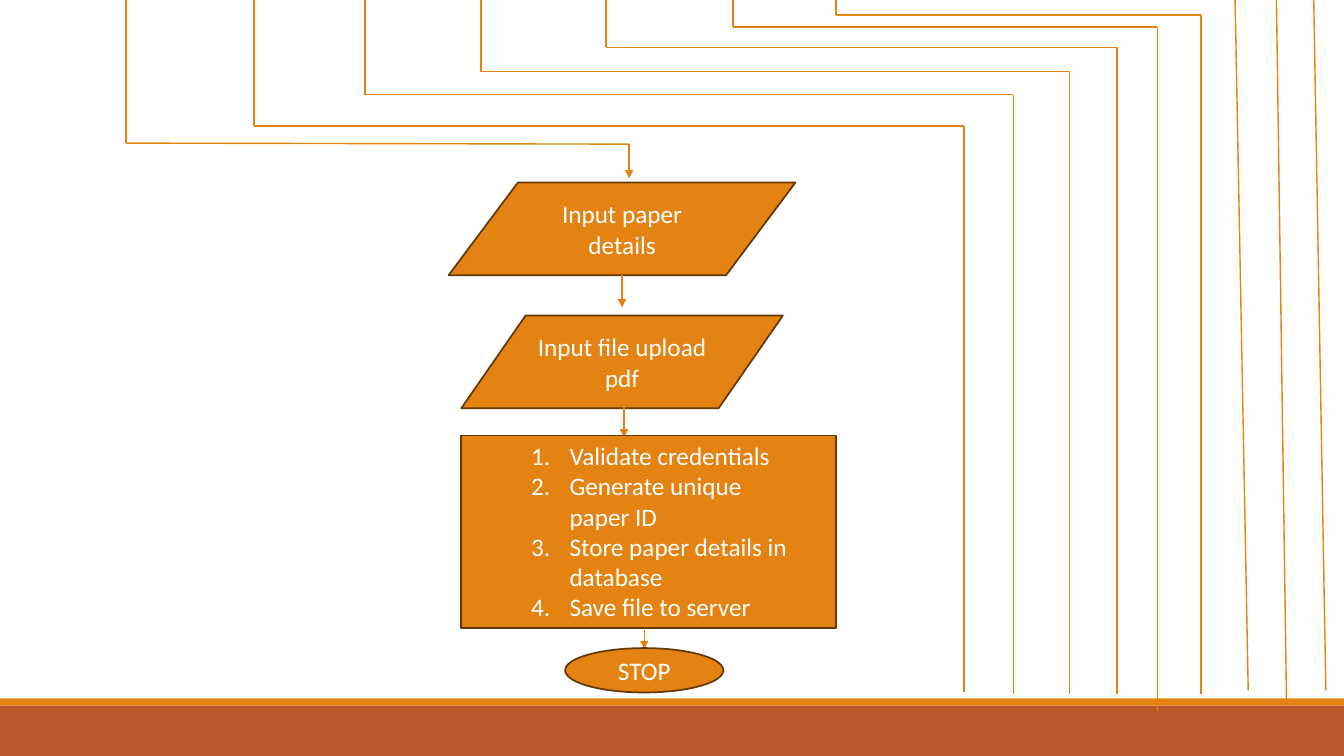
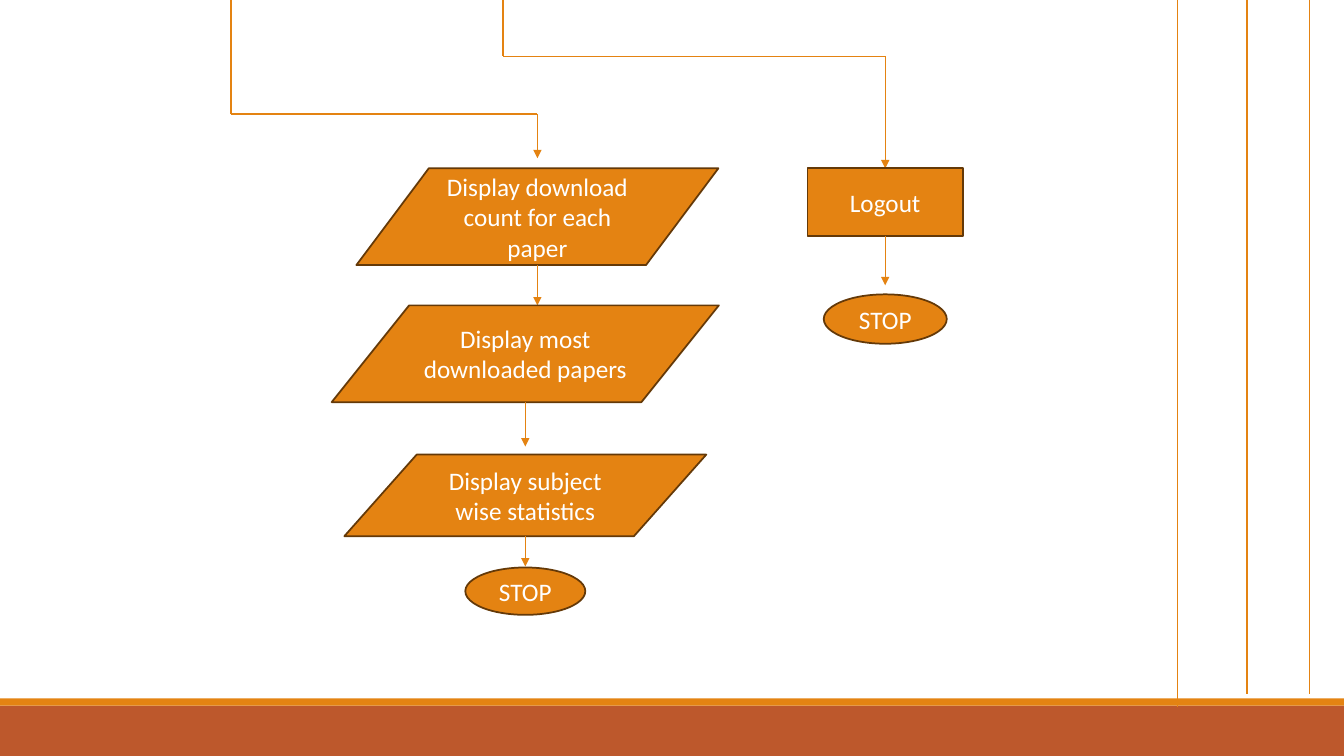
from lxml import etree
from pptx import Presentation
from pptx.dml.color import RGBColor
from pptx.enum.shapes import MSO_CONNECTOR, MSO_SHAPE
from pptx.enum.text import MSO_ANCHOR, PP_ALIGN
from pptx.oxml.ns import qn
from pptx.util import Inches, Pt

INPUT = MSO_SHAPE.FLOWCHART_DATA
PROCESS = MSO_SHAPE.RECTANGLE
END = MSO_SHAPE.OVAL
STRAIGHT = MSO_CONNECTOR.STRAIGHT
CENTER, MIDDLE = PP_ALIGN.CENTER, MSO_ANCHOR.MIDDLE

WIDTH, HEIGHT = 13.33, 7.5
ORANGE, RUST, BROWN, WHITE = "E48312", "BD582C", "643908", "FFFFFF"
FONT = {"name": "Calibri", "size": Pt(18)}
BANDS = [(7, 0.5, RUST), (6.93, 0.07, ORANGE)]  # top, height, colour
LIST_INDENT = 0.38

# Lanes are the points of a plain line that runs on from another page.
# Steps: points of the arrow leading in, then kind, text, centre x, top, width, height.
PAGES = [
    {
        "lanes": [
            [(x, 0), (x, turn), (right, turn), (right, bottom)]
            for x, turn, right, bottom in [
                (2.52, 1.25, 9.56, 6.87),
                (3.62, 0.94, 10.05, 6.89),
                (4.77, 0.71, 10.61, 6.89),
                (6.01, 0.47, 11.08, 6.89),
                (7.27, 0.27, 11.48, 7.05),
                (8.29, 0.15, 11.91, 6.89),
            ]
        ] + [
            [(12.25, 0), (12.38, 6.85)],
            [(12.66, 0), (12.76, 6.98)],
            [(13.03, 0), (13.15, 6.85)],
        ],
        "steps": [
            ([(1.25, 0), (1.25, 1.42), (6.24, 1.43), (6.24, 1.77)],
             INPUT, "Input paper details", 6.17, 1.81, 3.44, 0.92),
            ([(6.17, 2.73), (6.17, 3.05)],
             INPUT, "Input file upload pdf", 6.17, 3.13, 3.19, 0.92),
            ([(6.19, 3.95), (6.19, 4.34)], PROCESS, "", 6.43, 4.32, 3.72, 1.91),
            ([(6.39, 6.25), (6.39, 6.44)], END, "STOP", 6.39, 6.43, 1.57, 0.44),
        ],
        "tasks": {
            "box": (5.17, 4.32, 2.75, 1.92),
            "items": [
                "Validate credentials",
                "Generate unique paper ID",
                "Store paper details in database",
                "Save file to server",
            ],
        },
    },
    {
        "lanes": [[(x, 0), (x, bottom)]
                  for x, bottom in [(11.68, 7.01), (12.37, 6.89), (12.99, 6.89)]],
        "steps": [
            ([(2.29, 0), (2.29, 1.13), (5.33, 1.13), (5.33, 1.57)],
             INPUT, "Display download count for each paper", 5.33, 1.67, 3.59, 0.96),
            ([(5.33, 2.63), (5.33, 3.03)],
             INPUT, "Display most downloaded papers", 5.21, 3.03, 3.84, 0.96),
            ([(5.21, 3.99), (5.21, 4.43)],
             INPUT, "Display subject wise statistics", 5.21, 4.51, 3.59, 0.81),
            ([(5.21, 5.32), (5.21, 5.62)], END, "STOP", 5.21, 5.63, 1.19, 0.47),
            ([(4.99, 0), (4.99, 0.56), (8.78, 0.56), (8.78, 1.67)],
             PROCESS, "Logout", 8.78, 1.67, 1.54, 0.67),
            ([(8.78, 2.34), (8.78, 2.83)], END, "STOP", 8.78, 2.92, 1.22, 0.49),
        ],
    },
]


def rgb(code):
    return RGBColor.from_string(code)


def style_font(paragraph):
    for attribute, value in FONT.items():
        setattr(paragraph.font, attribute, value)
    paragraph.font.color.rgb = rgb(WHITE)


def add_filled(slide, kind, box, fill):
    shape = slide.shapes.add_shape(kind, *map(Inches, box))
    shape.shadow.inherit = False
    shape.fill.solid()
    shape.fill.fore_color.rgb = rgb(fill)
    shape.line.fill.background()
    return shape


def add_bands(slide):
    """Move the bands into the layout, so that every page shows them."""
    for top, height, colour in BANDS:
        band = add_filled(slide, PROCESS, (0, top, WIDTH, height), colour)
        slide.slide_layout.shapes.element.append(band.element)


def add_route(slide, points, arrow=False):
    """Join the points with straight lines; an arrow ends the last one."""
    for start, end in zip(points, points[1:]):
        segment = slide.shapes.add_connector(STRAIGHT, *map(Inches, start + end))
        segment.line.color.rgb = rgb(ORANGE)
        segment.line.width = Pt(1)
        properties = segment.element.spPr
        etree.SubElement(properties, qn("a:effectLst"))
    if arrow:
        etree.SubElement(properties.find(qn("a:ln")), qn("a:tailEnd"), type="triangle")


def add_step(slide, arrow, kind, text, centre, top, width, height):
    add_route(slide, arrow, arrow=True)
    step = add_filled(slide, kind, (centre - width / 2, top, width, height), ORANGE)
    step.line.color.rgb = rgb(BROWN)
    step.line.width = Pt(1.25)
    if text:
        frame = step.text_frame
        frame.word_wrap = True
        frame.vertical_anchor = MIDDLE
        paragraph = frame.paragraphs[0]
        paragraph.text = text
        paragraph.alignment = CENTER
        style_font(paragraph)


def add_tasks(slide, box, items):
    frame = slide.shapes.add_textbox(*map(Inches, box)).text_frame
    frame.word_wrap = True
    for index, item in enumerate(items):
        paragraph = frame.add_paragraph() if index else frame.paragraphs[0]
        paragraph.text = item
        properties = paragraph._p.get_or_add_pPr()
        properties.set("marL", str(Inches(LIST_INDENT)))
        properties.set("indent", str(-Inches(LIST_INDENT)))
        etree.SubElement(properties, qn("a:buFont"), typeface="+mj-lt")
        etree.SubElement(properties, qn("a:buAutoNum"), type="arabicPeriod")
        style_font(paragraph)


def main():
    deck = Presentation()
    deck.slide_width, deck.slide_height = Inches(WIDTH), Inches(HEIGHT)
    blank = deck.slide_layouts[6]
    for number, page in enumerate(PAGES):
        slide = deck.slides.add_slide(blank)
        if number == 0:
            add_bands(slide)
        for lane in page["lanes"]:
            add_route(slide, lane)
        for step in page["steps"]:
            add_step(slide, *step)
        if "tasks" in page:
            add_tasks(slide, **page["tasks"])
    deck.save("out.pptx")


if __name__ == "__main__":
    main()
